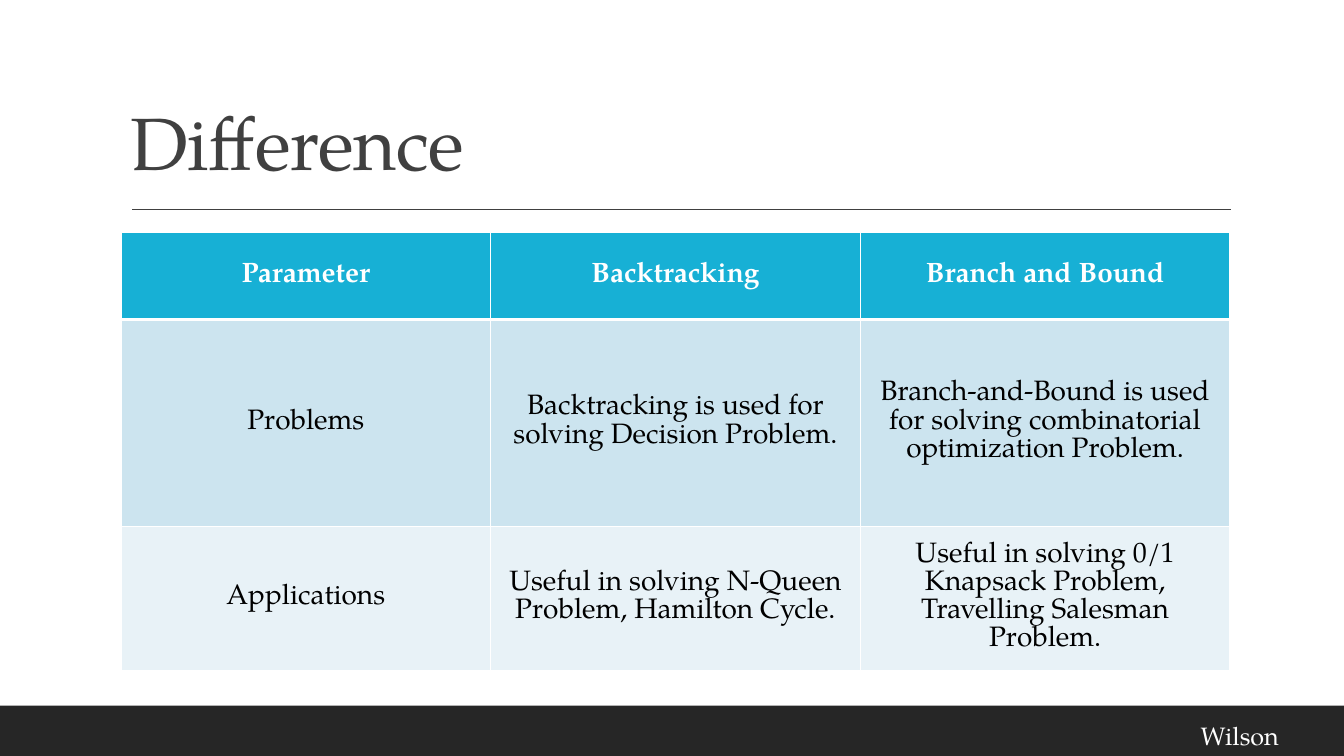
from lxml import etree
from pptx import Presentation
from pptx.dml.color import RGBColor
from pptx.enum.shapes import MSO_CONNECTOR, MSO_SHAPE
from pptx.enum.text import MSO_ANCHOR, PP_ALIGN
from pptx.oxml.ns import qn
from pptx.util import Inches, Pt

CENTER, LEFT = PP_ALIGN.CENTER, PP_ALIGN.LEFT
MIDDLE, BOTTOM, TOP = MSO_ANCHOR.MIDDLE, MSO_ANCHOR.BOTTOM, MSO_ANCHOR.TOP
RECT, STRAIGHT = MSO_SHAPE.RECTANGLE, MSO_CONNECTOR.STRAIGHT
FONT = "TeX Gyre Pagella"
COLORS = {
    "white": "FFFFFF", "black": "000000", "footer": "262626", "title": "404040",
    "header": "17B0D5", "band1": "CCE4EF", "band2": "E8F2F7",
}


def rgb(name):
    return RGBColor.from_string(COLORS[name])


def write(tf, text, size=20, color="black", bold=False, align=LEFT,
          spacing=None, after=None, kern=None):
    p = tf.paragraphs[0]
    p.alignment = align
    p.line_spacing = spacing
    p.space_after = after
    r = p.add_run()
    r.text = text
    r.font.name, r.font.size, r.font.bold = FONT, Pt(size), bold
    r.font.color.rgb = rgb(color)
    if kern is not None:
        r.font._element.set("spc", str(int(kern * 100)))


prs = Presentation()
prs.slide_width, prs.slide_height = Inches(13.33), Inches(7.5)
s = prs.slides.add_slide(prs.slide_layouts[6])

# Footer band
band = s.shapes.add_shape(RECT, 0, Inches(7), prs.slide_width, Inches(0.5))
band.shadow.inherit = False
band.fill.solid()
band.fill.fore_color.rgb = rgb("footer")
band.line.fill.background()

# Rule under the title
rule = s.shapes.add_connector(STRAIGHT, Inches(1.31), Inches(2.08), Inches(12.21), Inches(2.08))
rule.line.color.rgb = rgb("title")
rule.line.width = Pt(1)
etree.SubElement(rule._element.spPr, qn("a:effectLst"))

# Title
title = s.shapes.add_textbox(Inches(1.2), Inches(0.31), Inches(11), Inches(1.59))
title.text_frame.word_wrap = True
title.text_frame.vertical_anchor = BOTTOM
write(title.text_frame, "Difference", size=53, color="title", spacing=0.9, kern=-0.5)

# Comparison table
rows = [
    ("Parameter", "Backtracking", "Branch and Bound"),
    ("Problems", "Backtracking is used for solving Decision Problem.",
     "Branch-and-Bound is used for solving combinatorial optimization Problem."),
    ("Applications", "Useful in solving N-Queen Problem, Hamilton Cycle.",
     "Useful in solving 0/1 Knapsack Problem, Travelling Salesman Problem."),
]
heights = [0.86, 2.05, 1.2]
fills = ["header", "band1", "band2"]
table = s.shapes.add_table(3, 3, Inches(1.2), Inches(2.31), Inches(11), Inches(sum(heights))).table
for col in table.columns:
    col.width = Inches(11 / 3)

for i, texts in enumerate(rows):
    table.rows[i].height = Inches(heights[i])
    header = i == 0
    for j, text in enumerate(texts):
        cell = table.cell(i, j)
        cell.vertical_anchor = MIDDLE
        write(cell.text_frame, text, color="white" if header else "black",
              bold=header, align=CENTER)
        # Borders come before the fill in the cell properties
        tcPr = cell._tc.get_or_add_tcPr()
        for side in ("lnL", "lnR", "lnT", "lnB"):
            thick = (header and side == "lnB") or (i == 1 and side == "lnT")
            ln = etree.SubElement(tcPr, qn("a:" + side), w=str(Pt(3 if thick else 1)))
            fill = etree.SubElement(ln, qn("a:solidFill"))
            etree.SubElement(fill, qn("a:srgbClr"), val=COLORS["white"])
        cell.fill.solid()
        cell.fill.fore_color.rgb = rgb(fills[i])

# Presenter name
name = s.shapes.add_textbox(Inches(11.81), Inches(7.1), Inches(1.34), Inches(0.4))
name.text_frame.word_wrap = True
name.text_frame.vertical_anchor = TOP
write(name.text_frame, "Wilson", size=18, color="white", after=Pt(6))

prs.save("out.pptx")
